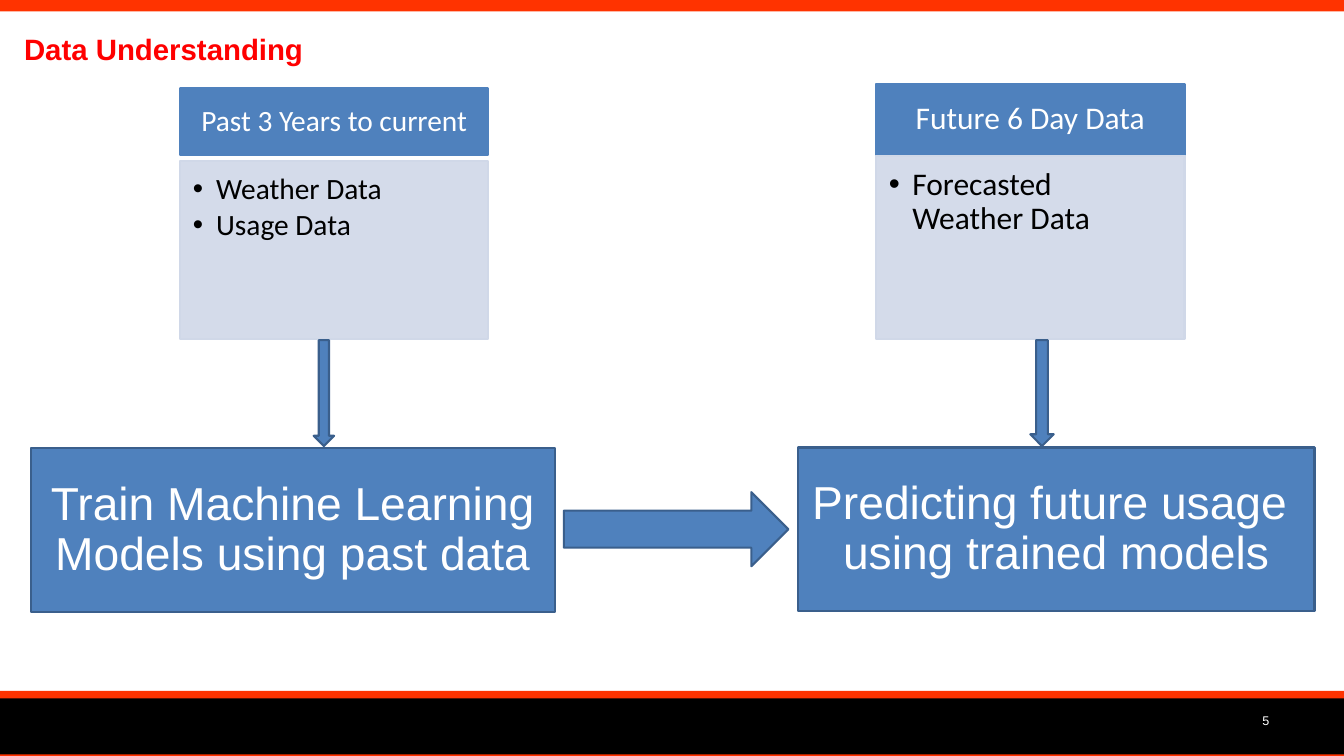
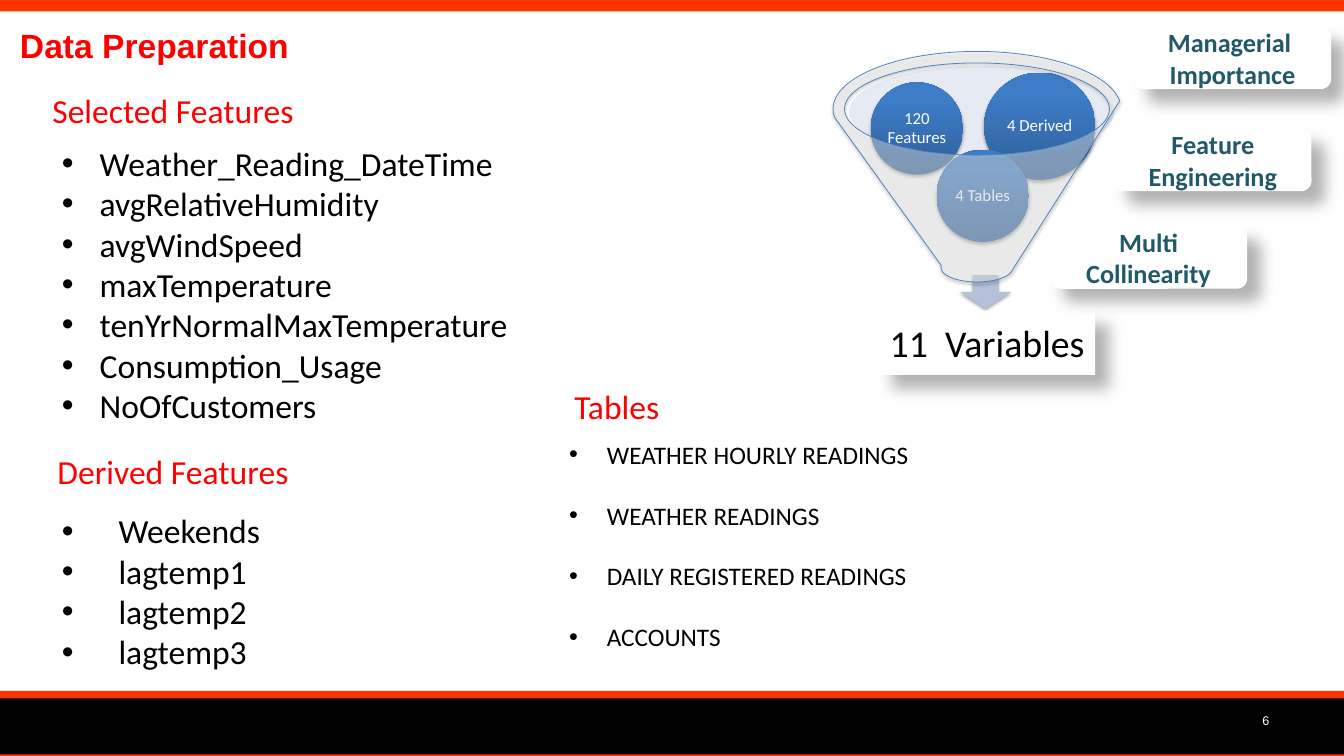
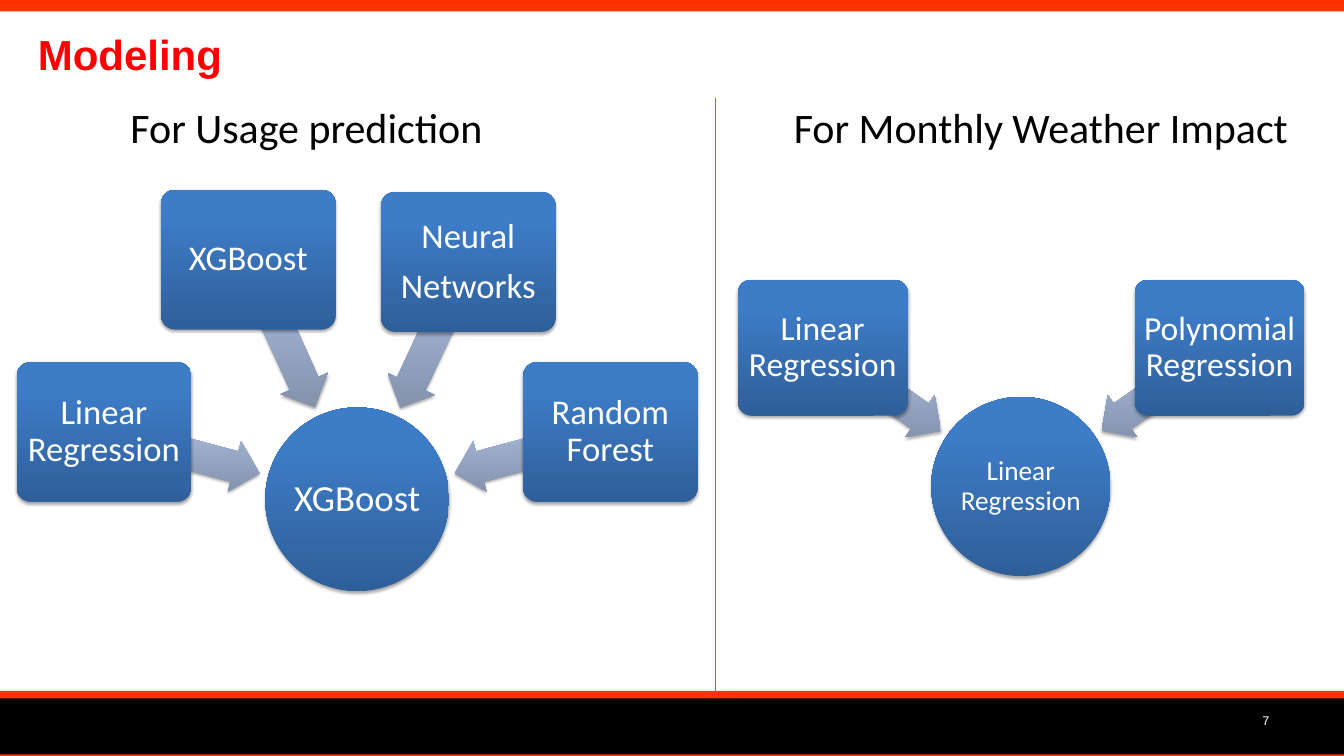
from lxml.etree import SubElement
from pptx import Presentation
from pptx.dml.color import RGBColor
from pptx.enum.shapes import MSO_CONNECTOR, MSO_SHAPE
from pptx.enum.text import MSO_ANCHOR, PP_ALIGN
from pptx.oxml.ns import qn
from pptx.util import Inches, Pt

WIDTH, HEIGHT = 17.78, 10
ORANGE, RED, BLACK, WHITE = "FF3300", "FF0000", "000000", "FFFFFF"
BLUE, DARK_BLUE, PALE_BLUE, TEAL = "4F81BD", "3A5F8C", "D0D8E8", "215968"
BLUE_FADE = ("2F5F99", "3D7CC7")
GREY_FADE = ("818FA8", "A7B9DA")
SOFT_SHADOW = (35, 3.1, 1.8, 90)
DEEP_SHADOW = (30, 15, 18, 45)


def rgb(color):
    return RGBColor.from_string(color)


class Deck:
    def __init__(self):
        self.deck = Presentation()
        self.deck.slide_width = Inches(WIDTH)
        self.deck.slide_height = Inches(HEIGHT)
        self.page = None

    def start(self, number):
        self.page = self.deck.slides.add_slide(self.deck.slide_layouts[6])
        bands = [(0, 0.15, ORANGE), (9.22, 0.78, BLACK), (9.14, 0.1, ORANGE), (9.98, 0.02, ORANGE)]
        for top, height, color in bands:
            self.shape(MSO_SHAPE.RECTANGLE, (0, top, WIDTH, height), color)
        self.text((12.74, 9.27, 4.15, 0.53), [str(number)], 12, WHITE, font="Arial",
                  align=PP_ALIGN.RIGHT, anchor=MSO_ANCHOR.MIDDLE)

    def title(self, frame, words, size, **style):
        self.text(frame, [words], size, RED, font="Arial", bold=True, **style)

    def text(self, frame, lines, size, color=BLACK, **style):
        box = self.page.shapes.add_textbox(*map(Inches, frame))
        self.set_text(box, lines, size, color, **style)

    def set_text(self, box, lines, size, color=WHITE, font="Calibri", bold=False,
                 align=PP_ALIGN.CENTER, anchor=MSO_ANCHOR.TOP, insets=(0.1, 0.05, 0.1, 0.05),
                 spacing=1.0, after=0, indent=0):
        frame = box.text_frame
        frame.word_wrap = True
        frame.vertical_anchor = anchor
        (frame.margin_left, frame.margin_top,
         frame.margin_right, frame.margin_bottom) = map(Inches, insets)
        for index, line in enumerate(lines):
            para = frame.add_paragraph() if index else frame.paragraphs[0]
            para.text = line
            if indent:
                self.bullet(para, indent)
            para.alignment = align
            para.line_spacing = spacing
            para.space_after = Pt(after)
            para.font.name = font
            para.font.size = Pt(size)
            para.font.bold = bold
            para.font.color.rgb = rgb(color)

    def bullet(self, para, indent):
        properties = para._p.get_or_add_pPr()
        properties.set("marL", str(Inches(indent)))
        properties.set("indent", str(-Inches(indent)))
        SubElement(properties, qn("a:buFont"), typeface="Arial")
        SubElement(properties, qn("a:buChar"), char="•")

    def shape(self, kind, frame, fill, line=None, weight=2, alpha=None, shadow=None,
              rotation=0, adjust=()):
        shape = self.page.shapes.add_shape(kind, *map(Inches, frame))
        shape.rotation = rotation
        for index, value in enumerate(adjust):
            shape.adjustments[index] = value
        if isinstance(fill, tuple):
            self.fade(shape, fill)
        else:
            shape.fill.solid()
            shape.fill.fore_color.rgb = rgb(fill)
        if line:
            shape.line.color.rgb = rgb(line)
            shape.line.width = Pt(weight)
        else:
            shape.line.fill.background()
        if alpha:
            color = shape._element.spPr.find(qn("a:solidFill")).find(qn("a:srgbClr"))
            SubElement(color, qn("a:alpha"), val=str(alpha * 1000))
        shape.shadow.inherit = False
        if shadow:
            self.cast(shape, *shadow)
        return shape

    def fade(self, shape, colors):
        shape.fill.gradient()
        shape.fill.gradient_angle = 90
        for stop, color, position in zip(shape.fill.gradient_stops, colors, (0, 0.8)):
            stop.color.rgb = rgb(color)
            stop.position = position
        shape._element.spPr.find(qn("a:gradFill")).set("rotWithShape", "0")

    def cast(self, shape, alpha, blur, distance, angle):
        effects = shape._element.spPr.find(qn("a:effectLst"))
        outer = SubElement(effects, qn("a:outerShdw"), blurRad=str(Pt(blur)),
                           dist=str(Pt(distance)), dir=str(angle * 60000),
                           algn="ctr", rotWithShape="0")
        color = SubElement(outer, qn("a:srgbClr"), val=BLACK)
        SubElement(color, qn("a:alpha"), val=str(alpha * 1000))

    def line(self, start, end, color, weight):
        connector = self.page.shapes.add_connector(
            MSO_CONNECTOR.STRAIGHT, *map(Inches, start + end))
        connector.line.color.rgb = rgb(color)
        connector.line.width = Pt(weight)
        SubElement(connector._element.spPr, qn("a:effectLst"))

    def step(self, frame, lines):
        box = self.shape(MSO_SHAPE.RECTANGLE, frame, BLUE, DARK_BLUE)
        self.set_text(box, lines, 44, font="Arial", anchor=MSO_ANCHOR.MIDDLE, spacing=0.9)

    def arrow(self, kind, frame):
        self.shape(kind, frame, BLUE, DARK_BLUE)

    def data_card(self, left, top, head_height, body_top, body_height, heading, items, size):
        head = self.shape(MSO_SHAPE.RECTANGLE, (left, top, 4.08, head_height), BLUE, BLUE)
        self.set_text(head, [heading], size, anchor=MSO_ANCHOR.MIDDLE,
                      insets=(0.22, 0.12, 0.22, 0.12), spacing=0.9)
        body = self.shape(MSO_SHAPE.RECTANGLE, (left, body_top, 4.08, body_height),
                          PALE_BLUE, PALE_BLUE, alpha=90)
        self.set_text(body, items, size, BLACK, align=PP_ALIGN.LEFT,
                      insets=(0.17, 0.17, 0.22, 0.25), spacing=0.9, after=4, indent=0.31)

    def ball(self, frame, words, size):
        ball = self.shape(MSO_SHAPE.OVAL, frame, BLUE_FADE, shadow=SOFT_SHADOW)
        self.set_text(ball, [words], size, anchor=MSO_ANCHOR.MIDDLE, insets=(0.02,) * 4,
                      spacing=0.9)

    def model(self, frame, lines, size):
        tile = self.shape(MSO_SHAPE.ROUNDED_RECTANGLE, frame, BLUE_FADE,
                          shadow=SOFT_SHADOW, adjust=(0.1,))
        self.set_text(tile, lines, size, anchor=MSO_ANCHOR.MIDDLE, insets=(0.07,) * 4,
                      spacing=0.9, after=12)

    def ensemble(self, hub, hub_size, tile, arrow, size, branches):
        self.ball(*hub, hub_size)
        for lines, corner, arrow_corner, rotation in branches:
            self.shape(MSO_SHAPE.LEFT_ARROW, arrow_corner + arrow, GREY_FADE,
                       shadow=SOFT_SHADOW, rotation=rotation, adjust=(0.6, 0.5))
            self.model(corner + tile, lines, size)

    def label(self, kind, frame, lines, size, color, bold=False):
        label = self.shape(kind, frame, WHITE, shadow=DEEP_SHADOW)
        self.set_text(label, lines, size, color, bold=bold, anchor=MSO_ANCHOR.MIDDLE)

    def bullets(self, frame, items, size, indent, after=0):
        self.text(frame, items, size, align=PP_ALIGN.LEFT, indent=indent, after=after)


def data_understanding(show):
    show.start(5)
    show.title((0.22, 0.42, 4.36, 0.75), "Data Understanding", 28,
               align=PP_ALIGN.LEFT, spacing=0.9)
    show.step((0.41, 5.93, 6.93, 2.17), ["Train Machine Learning Models using past data"])
    show.step((10.56, 5.92, 6.83, 2.16), ["Predicting future usage ", "using trained models"])
    show.arrow(MSO_SHAPE.RIGHT_ARROW, (7.46, 6.51, 2.97, 0.98))
    show.data_card(11.59, 1.11, 0.94, 2.06, 2.43, "Future 6 Day Data",
                   ["Forecasted Weather Data"], 30)
    show.data_card(2.38, 1.17, 0.88, 2.13, 2.35, "Past 3 Years to current",
                   ["Weather Data", "Usage Data"], 28)
    show.arrow(MSO_SHAPE.DOWN_ARROW, (13.63, 4.5, 0.31, 1.4))
    show.arrow(MSO_SHAPE.DOWN_ARROW, (4.15, 4.5, 0.27, 1.4))


def data_preparation(show):
    show.start(6)
    show.title((0, 0.28, 4.09, 0.64), "Data Preparation", 32)
    show.bullets((0.72, 1.84, 9.86, 3.87), [
        "Weather_Reading_DateTime", "avgRelativeHumidity", "avgWindSpeed", "maxTemperature",
        "tenYrNormalMaxTemperature", "Consumption_Usage", "NoOfCustomers"], 32, 0.5)
    show.bullets((7.43, 5.76, 9.92, 2.93), [
        "WEATHER HOURLY READINGS", "WEATHER READINGS", "DAILY REGISTERED READINGS",
        "ACCOUNTS"], 24, 0.5, after=29)
    show.bullets((0.72, 6.7, 5.6, 3.1), ["Weekends", "lagtemp1", "lagtemp2", "lagtemp3"], 32, 0.75)
    headings = [("Derived Features", -0.01, 5.91, 4.6), ("Tables", 6.32, 5.06, 3.68),
                ("Selected Features", 0.11, 1.14, 4.36)]
    for words, left, top, width in headings:
        show.text((left, top, width, 0.64), [words], 32, RED)

    show.shape(MSO_SHAPE.OVAL, (11.23, 0.87, 3.51, 1.22), "C2CDE1", alpha=40)
    show.shape(MSO_SHAPE.DOWN_ARROW, (12.7, 3.64, 0.68, 0.44), "B3C1DB", shadow=SOFT_SHADOW)
    show.ball((13.02, 0.96, 1.47, 1.42), "4 Derived", 16)
    show.ball((11.52, 1.09, 1.22, 1.22), "120 Features", 16)
    show.ball((12.39, 1.98, 1.22, 1.22), "4 Tables", 16)
    show.shape(MSO_SHAPE.FUNNEL, (11.02, 0.68, 3.81, 3.05), WHITE, BLUE, 0.75,
               alpha=40, shadow=SOFT_SHADOW)
    show.label(MSO_SHAPE.RECTANGLE, (11.63, 4.11, 2.86, 0.85), ["11  Variables"], 36, BLACK)
    methods = [(15, 0.35, ["Managerial ", "Importance"]),
               (14.74, 1.7, ["Feature", "Engineering"]),
               (13.89, 2.99, ["Multi", "Collinearity"])]
    for left, top, lines in methods:
        show.label(MSO_SHAPE.ROUNDED_RECTANGLE, (left, top, 2.61, 0.83), lines, 25, TEAL, bold=True)


def modeling(show):
    show.start(7)
    show.title((0.22, 0.33, 3, 0.77), "Modeling", 40)
    show.ensemble(((3.51, 5.39, 2.43, 2.43), "XGBoost"), 35, (2.31, 1.85), (2.13, 0.69), 33, [
        (["Linear Regression"], (0.22, 4.79), (1.34, 5.64), 195),
        (["XGBoost"], (2.13, 2.51), (2.66, 4.07), 245.6),
        (["Neural", "Networks"], (5.04, 2.54), (4.68, 4.08), 295),
        (["Random Forest"], (6.92, 4.79), (5.98, 5.64), 345)])
    show.text((0.64, 1.29, 6.83, 0.77), ["For Usage prediction"], 40)
    show.text((10.06, 1.29, 7.42, 0.77), ["For Monthly Weather Impact"], 40)
    show.line((9.47, 1.29), (9.47, 9.18), "4B7EBC", 0.75)
    show.ensemble(((12.32, 5.25, 2.37, 2.37), "Linear Regression"), 26,
                  (2.25, 1.8), (1.91, 0.68), 32, [
        (["Linear Regression"], (9.76, 3.7), (10.71, 4.81), 215),
        (["Polynomial Regression"], (15.01, 3.7), (14.4, 4.81), 325)])


def main():
    show = Deck()
    data_understanding(show)
    data_preparation(show)
    modeling(show)
    show.deck.save("out.pptx")


if __name__ == "__main__":
    main()
